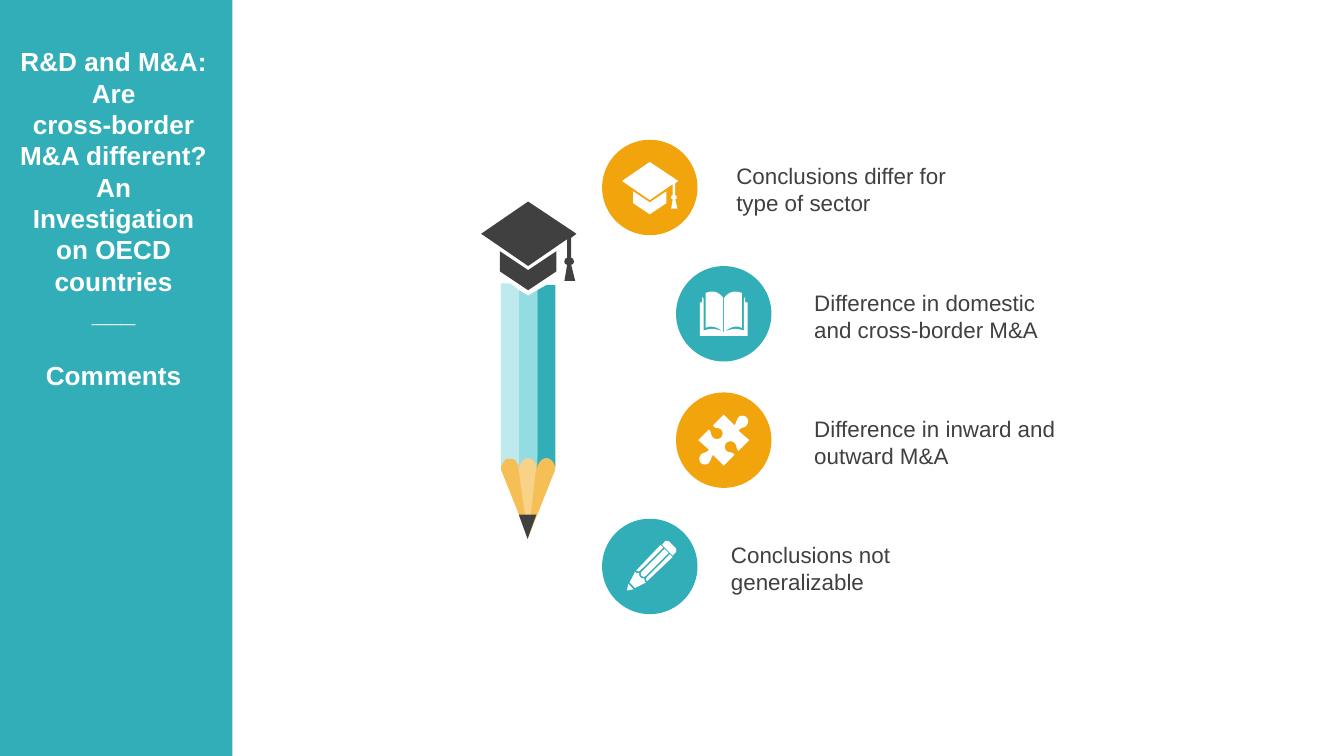
from pptx import Presentation
from pptx.dml.color import RGBColor
from pptx.enum.shapes import MSO_SHAPE
from pptx.enum.text import PP_ALIGN
from pptx.util import Inches, Pt

RECTANGLE, OVAL = MSO_SHAPE.RECTANGLE, MSO_SHAPE.OVAL
TRIANGLE = MSO_SHAPE.ISOSCELES_TRIANGLE
LEFT, CENTER = PP_ALIGN.LEFT, PP_ALIGN.CENTER

TEAL = RGBColor(0x32, 0xAE, 0xB8)
MID_TEAL = RGBColor(0x92, 0xDC, 0xE2)
PALE_TEAL = RGBColor(0xBE, 0xEA, 0xED)
ORANGE = RGBColor(0xF2, 0xA4, 0x0D)
WOOD = RGBColor(0xF6, 0xBF, 0x56)
LIGHT_WOOD = RGBColor(0xF8, 0xD2, 0x86)
DARK = RGBColor(0x40, 0x40, 0x40)
WHITE = RGBColor(0xFF, 0xFF, 0xFF)

WIDTH = 10
HEIGHT = WIDTH * 9 / 16
CIRCLE = 0.71
FIRST_ROW, ROW_STEP = 1.04, 0.94
INNER_COLUMN, OUTER_COLUMN = 4.48, 5.03
PENCIL_AXIS, STRIPE = 3.93, 0.135

# Outlines are in hundredths of an inch around an anchor point:
# (x, y) is a line, six numbers are a Bezier curve.
CAP = [
    [(-21, 37), (0, 51), (21, 37), (21, 52), (0, 66), (-21, 52)],
    [(0, 0), (36, 24), (32, 27), (32, 42), (33, 42, 34, 43, 34, 45),
     (34, 46, 33, 47, 32, 47), (35, 59), (27, 59), (29, 47),
     (28, 47, 27, 46, 27, 45), (27, 43, 28, 42, 29, 42), (29, 28),
     (0, 48), (-35, 24)],
]
BOOK_HALF = [
    [(0.4, 13.5), (0.4, -12), (3, -15, 5, -16.5, 9, -16.5),
     (10, -16.5, 12, -16, 13.5, -15.5), (13.5, 10.5), (10, 8.5, 5, 9.5, 0.4, 13.5)],
    [(0, 13.5), (6, 11, 9, 10.5, 15, 12.5), (15, -11), (16, -12.5),
     (16, -8.5), (17.8, -8.5), (17.8, 16.5), (0, 16.5)],
]
PUZZLE_HALF = [
    (17, -17), (18, -16, 19, -13, 17, -11), (16, -9, 13, -10, 11, -7),
    (19, 0), (11, 8), (9, 6, 10, 4, 8, 2), (6, 0, 3, 1, 2, 2),
    (1, 3, 0, 6, 2, 8), (5, 10, 6, 8, 8, 11), (0, 19), (-8, 11),
    (-10, 14, -9, 14, -11, 17), (-13, 19, -16, 18, -17, 17),
]
SMALL_PENCIL = [
    [(-16, 13), (-12, 17), (-17, 18)],
    [(-11, 4), (-10, 5, -9, 5, -8, 5), (-8, 6, -8, 7, -7, 8),
     (-6, 9, -5, 9, -4, 9), (-4, 10, -4, 11, -3, 12), (-11, 16), (-15, 12)],
    [(15, -9), (17, -7), (-2, 11), (-3, 10, -3, 9, -2, 8)],
    [(11, -13), (14, -10), (-3, 7), (-4, 8, -5, 8, -6, 7), (-7, 6, -7, 5, -6, 4)],
    [(8, -16), (10, -14), (-7, 3), (-8, 4, -9, 4, -10, 3)],
    [(13, -19), (13, -19, 14, -19, 15, -18), (19, -14), (20, -13, 20, -11, 19, -10),
     (18, -9, 18, -9, 17, -8), (9, -16), (11, -18), (11, -19, 12, -19, 13, -19)],
]


def flip(contour, sign_x, sign_y):
    signs = (sign_x, sign_y) * 3
    return [tuple(sign * value for sign, value in zip(signs, step)) for step in contour]


def flatten(contour, steps=8):
    """Turn lines and curves into a list of corner points."""
    points = []
    for step in contour:
        if len(step) == 2:
            points.append(step)
            continue
        x0, y0 = points[-1]
        x1, y1, x2, y2, x3, y3 = step
        for index in range(1, steps + 1):
            t = index / steps
            a, b, c, d = (1 - t) ** 3, 3 * t * (1 - t) ** 2, 3 * t * t * (1 - t), t ** 3
            points.append((a * x0 + b * x1 + c * x2 + d * x3,
                           a * y0 + b * y1 + c * y2 + d * y3))
    return points


def paint(shape, color):
    shape.shadow.inherit = False
    shape.fill.solid()
    shape.fill.fore_color.rgb = color
    shape.line.fill.background()


def add_outline(shapes, contours, x, y, color, scale=1):
    """Draw contours as one freeform anchored at x, y."""
    builder = None
    for contour in contours:
        points = [(Inches(x + px * scale / 100), Inches(y + py * scale / 100))
                  for px, py in flatten(contour)]
        if builder is None:
            builder = shapes.build_freeform(*points[0])
        else:
            builder.move_to(*points[0])
        builder.add_line_segments(points[1:], close=True)
    paint(builder.convert_to_shape(), color)


def add_preset(shapes, kind, left, top, width, height, color):
    shape = shapes.add_shape(kind, Inches(left), Inches(top), Inches(width), Inches(height))
    paint(shape, color)
    return shape


def add_text(page, text, left, top, width, height, size, color, bold=False, align=LEFT):
    box = page.shapes.add_textbox(Inches(left), Inches(top), Inches(width), Inches(height))
    frame = box.text_frame
    frame.word_wrap = True
    frame.text = text
    for para in frame.paragraphs:
        para.alignment = align
        for span in para.runs:
            span.font.name = "Arial"
            span.font.size = Pt(size)
            span.font.bold = bold
            span.font.color.rgb = color
    return frame


def add_sidebar(page):
    add_preset(page.shapes, RECTANGLE, 0, 0, 1.73, HEIGHT, TEAL)
    lines = ["R&D and M&A: Are", "cross-border M&A different? An",
             "Investigation on OECD countries", "___", "Comments"]
    frame = add_text(page, "\n".join(lines), 0.04, 0.29, 1.61, 2.93, 14, WHITE, True, CENTER)
    frame.paragraphs[-1].space_before = Pt(16.8)


def add_stripe(shapes, column, top_edge, color):
    """Draw one strip of the pencil's body, with an arch at its foot."""
    w, foot, arch = STRIPE * 100, 348, 341
    contour = top_edge + [
        (w, foot), (w - 1, 344, w - 3, arch, w / 2, arch), (3, arch, 1, 344, 0, foot)]
    add_outline(shapes, [contour], PENCIL_AXIS + (column - 1.5) * STRIPE, 0, color)


def add_big_pencil(page):
    shapes = page.shapes.add_group_shape().shapes
    w = STRIPE * 100
    add_outline(shapes, [[(-20, 341), (20, 341), (20, 350), (0, 400), (-20, 350)]],
                PENCIL_AXIS, 0, WOOD)
    add_outline(shapes, [[(-7, 341), (6, 341), (6, 348), (0, 400), (-7, 350)]],
                PENCIL_AXIS, 0, LIGHT_WOOD)
    add_stripe(shapes, 0, [(0, 211), (7, 211), (w, 216)], PALE_TEAL)
    add_stripe(shapes, 1, [(0, 216), (w / 2, 220), (w, 216)], MID_TEAL)
    add_stripe(shapes, 2, [(0, 216), (7, 212), (w, 212)], TEAL)
    add_preset(shapes, TRIANGLE, 3.86, 3.83, 0.13, 0.18, DARK).rotation = 180
    add_outline(shapes, CAP, PENCIL_AXIS, 1.5, DARK)


def add_point(page, row, column, color, icon, text, text_left):
    """Draw one conclusion: a circle, its icon and its text."""
    contours, rise, scale = icon
    top = FIRST_ROW + row * ROW_STEP
    add_preset(page.shapes, OVAL, column, top, CIRCLE, CIRCLE, color)
    add_outline(page.shapes, contours, column + CIRCLE / 2,
                top + CIRCLE / 2 - rise, WHITE, scale)
    frame = add_text(page, text, text_left, top + 0.12, 2.11, 0.5, 12, DARK)
    frame.margin_right = Inches(0.15)


def main():
    deck = Presentation()
    deck.slide_width, deck.slide_height = Inches(WIDTH), Inches(HEIGHT)
    page = deck.slides.add_slide(deck.slide_layouts[6])

    cap = (CAP, 0.19, 0.59)
    book = (BOOK_HALF + [flip(half, -1, 1) for half in BOOK_HALF], 0, 1)
    puzzle = ([PUZZLE_HALF + flip(PUZZLE_HALF, -1, -1)], 0, 1)
    pencil = (SMALL_PENCIL, 0, 1)
    points = [
        (INNER_COLUMN, ORANGE, cap, "Conclusions differ for type of sector", 5.38),
        (OUTER_COLUMN, TEAL, book, "Difference in domestic and cross-border M&A", 5.96),
        (OUTER_COLUMN, ORANGE, puzzle, "Difference in inward and outward M&A", 5.96),
        (INNER_COLUMN, TEAL, pencil, "Conclusions not generalizable", 5.34),
    ]
    add_sidebar(page)
    for row, point in enumerate(points):
        add_point(page, row, *point)
    add_big_pencil(page)
    deck.save("out.pptx")


if __name__ == "__main__":
    main()
